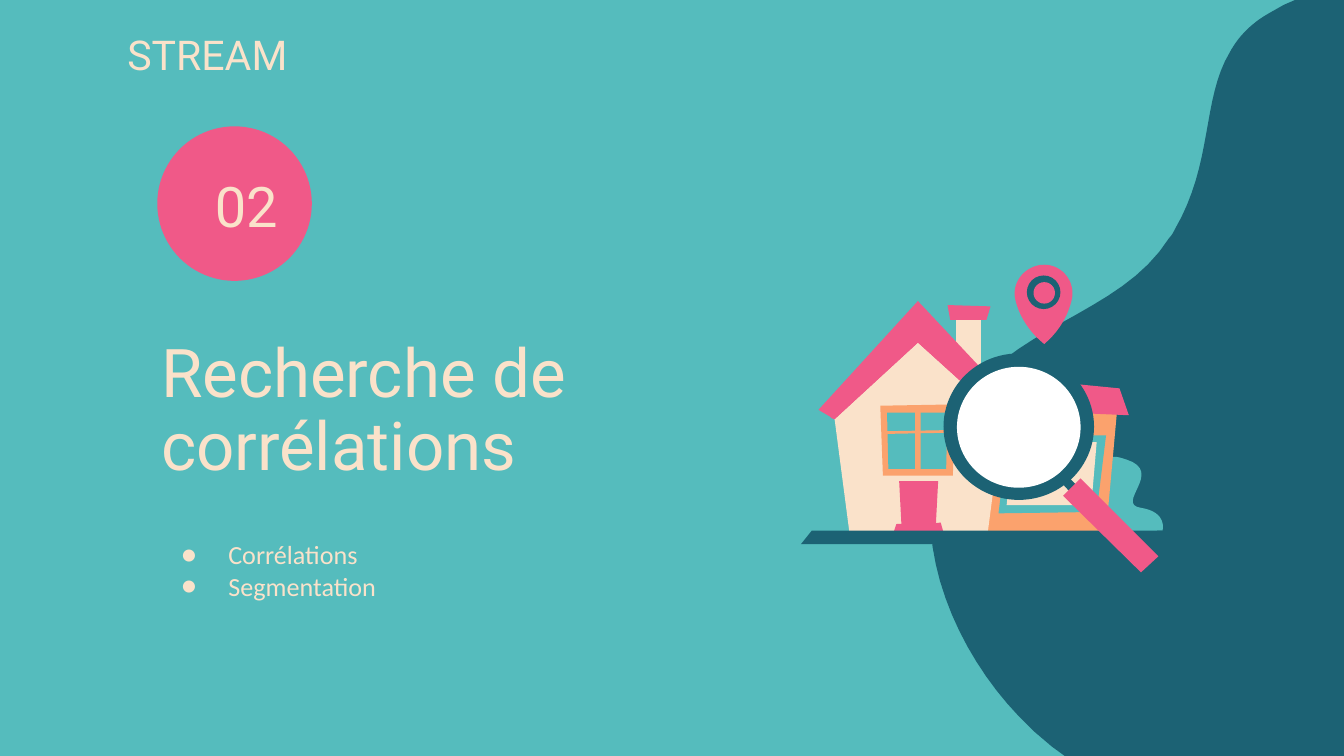
"""Build the section slide that opens part 02, on the search for correlations."""
from dataclasses import dataclass

from lxml import etree
from pptx import Presentation
from pptx.dml.color import RGBColor
from pptx.enum.shapes import MSO_SHAPE
from pptx.enum.text import MSO_ANCHOR
from pptx.oxml.ns import qn
from pptx.util import Cm, Pt

ELLIPSE = MSO_SHAPE.OVAL
TOP = MSO_ANCHOR.TOP
MIDDLE = MSO_ANCHOR.MIDDLE
CM_PER_UNIT = 2.54
CURVE_STEPS = 16


@dataclass(frozen=True)
class Theme:
    teal: str = "55BCBD"
    navy: str = "1C6274"
    pink: str = "F05988"
    cream: str = "FAE2CA"
    orange: str = "FBA26D"
    white: str = "FFFFFF"
    heading_font: str = "Roboto"
    body_font: str = "Calibri"
    title_size: int = 36
    number_size: int = 30
    name_size: int = 22
    body_size: int = 14


THEME = Theme()

TEXTS = [
    (["Recherche de corrélations"], (1.1, 2.42, 3.36, 1.3), MIDDLE,
     THEME.heading_font, THEME.title_size, 0.9, False),
    (["02"], (1.5, 1.11, 1.73, 0.83), MIDDLE,
     THEME.heading_font, THEME.number_size, 1.0, False),
    (["Corrélations", "Segmentation"], (1.1, 3.91, 3.02, 0.84), TOP,
     THEME.body_font, THEME.body_size, 1.0, True),
    (["STREAM"], (0.85, 0.12, 1.45, 0.68), TOP,
     THEME.heading_font, THEME.name_size, 1.0, False),
]

# Outline steps hold either one point or the three points of a curve.
WAVE = [
    (11.64, 4.78), (12.12, 3.95, 11.71, 3.12, 11.77, 2.3),
    (11.83, 1.47, 11.81, 0.87, 11.23, 0.43), (10.66, -0.01, 10.04, -0.28, 9.44, 0.1),
    (9.3, 0.18, 9.21, 0.28, 9.15, 0.39), (8.94, 0.74, 9.03, 1.21, 8.74, 1.71),
    (8.73, 1.73, 8.72, 1.75, 8.7, 1.77), (8.33, 2.36, 7.5, 2.41, 7.11, 3.08),
    (7.05, 3.18, 7.01, 3.3, 6.97, 3.43), (6.79, 4.1, 7.12, 4.85, 7.58, 5.33),
    (8.2, 5.99, 9.12, 6.18, 9.96, 5.98), (10.63, 5.83, 11.24, 5.43, 11.61, 4.83),
]
BUSH = [
    (8.29, 3.4), (8.11, 3.4, 8.13, 3.65, 8.13, 3.65), (7.81, 3.96), (8.65, 3.95),
    (8.65, 3.95, 8.69, 3.81, 8.49, 3.78), (8.29, 3.75, 8.67, 3.51, 8.38, 3.42),
    (8.35, 3.41, 8.32, 3.4, 8.29, 3.4),
]
PIN = [
    (7.77, 1.97), (7.65, 1.97, 7.55, 2.07, 7.55, 2.18), (7.55, 2.2),
    (7.55, 2.2, 7.57, 2.4, 7.77, 2.56), (7.96, 2.4, 7.98, 2.2, 7.98, 2.2),
    (7.98, 2.18), (7.98, 2.07, 7.89, 1.97, 7.77, 1.97),
]
CHIMNEY = [(7.11, 2.36), (7.11, 2.75), (7.3, 2.75), (7.3, 2.36)]
CHIMNEY_CAP = [(7.05, 2.27), (7.07, 2.38), (7.34, 2.38), (7.37, 2.28)]
ANNEX = [(6.98, 3.03), (7, 3.96), (8.23, 3.96), (8.31, 3.08)]
ANNEX_ROOF = [(6.8, 2.74), (6.8, 3.02), (8.4, 3.09), (8.33, 2.89)]
ROOF = [(6.83, 2.24), (6.09, 3.05), (6.21, 3.12), (7.45, 3.12), (7.59, 3.05)]
GABLE = [(6.83, 2.55), (6.21, 3.12), (6.83, 3.69), (7.46, 3.12)]
WALL = [(6.21, 3.12), (6.32, 3.96), (7.35, 3.96), (7.46, 3.12)]
ANNEX_FRAME = [(8.23, 3.24), (7.5, 3.24), (7.43, 3.82), (8.16, 3.81)]
ANNEX_PANE = [(7.54, 3.29), (7.49, 3.76), (8.12, 3.76), (8.16, 3.29)]
DOOR = [(6.69, 3.58), (6.71, 3.96), (6.96, 3.96), (6.98, 3.58)]
WINDOW_FRAME = [(7.11, 3.01), (6.55, 3.02), (6.57, 3.54), (7.09, 3.54)]
WINDOW_PANE = [(6.6, 3.07), (6.61, 3.49), (7.04, 3.49), (7.05, 3.07)]
DOORSTEP = [(7, 3.89), (6.67, 3.9), (6.65, 3.96), (7.02, 3.96)]
WINDOW_POST = [(6.85, 3.03), (6.81, 3.04), (6.81, 3.53), (6.85, 3.53)]
WINDOW_BAR = [(7.11, 3.2), (6.57, 3.21), (6.57, 3.23), (7.11, 3.22)]
ROOF_EDGE = [(6.84, 2.49), (6.18, 3.11), (6.21, 3.12), (6.83, 2.55), (7.46, 3.12), (7.5, 3.1)]
GROUND = [(6.04, 3.95), (5.96, 4.05), (8.72, 4.05), (8.66, 3.95)]
LENS_NECK = [(7.9, 3.5), (7.85, 3.54), (7.96, 3.66), (8.01, 3.61)]
LENS_HANDLE = [(8.04, 3.56), (7.91, 3.69), (8.49, 4.26), (8.62, 4.14)]

PIN_RING = (7.64, 2.05, 0.25, 0.25)
PIN_CENTRE = (7.69, 2.1, 0.16, 0.16)
LENS_RIM = (7.02, 2.63, 1.12, 1.09)
LENS_GLASS = (7.12, 2.73, 0.92, 0.9)
NUMBER_DISC = (1.17, 0.94, 1.15, 1.15)

HOUSE = [
    (BUSH, THEME.teal), (PIN, THEME.pink), (PIN_RING, THEME.navy),
    (PIN_CENTRE, THEME.pink), (CHIMNEY, THEME.cream), (CHIMNEY_CAP, THEME.pink),
    (ANNEX, THEME.orange), (ANNEX_ROOF, THEME.pink), (ROOF, THEME.pink),
    (GABLE, THEME.cream), (WALL, THEME.cream), (ANNEX_FRAME, THEME.teal),
    (ANNEX_PANE, THEME.cream), (DOOR, THEME.pink), (WINDOW_FRAME, THEME.orange),
    (WINDOW_PANE, THEME.teal), (DOORSTEP, THEME.pink), (WINDOW_POST, THEME.orange),
    (WINDOW_BAR, THEME.orange), (ROOF_EDGE, THEME.pink), (GROUND, THEME.navy),
    (LENS_RIM, THEME.navy), (LENS_NECK, THEME.navy), (LENS_GLASS, THEME.white),
    (LENS_HANDLE, THEME.pink),
]


def lengths(values):
    return [Cm(value * CM_PER_UNIT) for value in values]


def paint(shape, color):
    shape.shadow.inherit = False
    shape.fill.solid()
    shape.fill.fore_color.rgb = RGBColor.from_string(color)
    shape.line.fill.background()


def add_ellipse(shapes, place, color):
    paint(shapes.add_shape(ELLIPSE, *lengths(place)), color)


def curve_points(start, step):
    controls = [start, step[:2], step[2:4], step[4:]]
    for index in range(1, CURVE_STEPS + 1):
        t = index / CURVE_STEPS
        weights = ((1 - t) ** 3, 3 * t * (1 - t) ** 2, 3 * t * t * (1 - t), t ** 3)
        yield tuple(sum(weight * control[axis] for weight, control in zip(weights, controls))
                    for axis in (0, 1))


def add_outline(shapes, steps, color):
    points = [steps[0]]
    for step in steps[1:]:
        points.extend([step] if len(step) == 2 else curve_points(points[-1], step))
    start, *vertices = [lengths(point) for point in points]
    builder = shapes.build_freeform(*start)
    builder.add_line_segments(vertices, close=True)
    paint(builder.convert_to_shape(), color)


def add_bullet(para, font):
    properties = para._p.get_or_add_pPr()
    indent, hanging = lengths((0.5, -0.35))
    properties.set("marL", str(indent))
    properties.set("indent", str(hanging))
    bullet_color = etree.SubElement(properties, qn("a:buClr"))
    etree.SubElement(bullet_color, qn("a:srgbClr"), val=THEME.cream)
    etree.SubElement(properties, qn("a:buFont"), typeface=font)
    etree.SubElement(properties, qn("a:buChar"), char="●")


def add_text(page, lines, place, anchor, font, size, spacing, bulleted):
    frame = page.shapes.add_textbox(*lengths(place)).text_frame
    frame.word_wrap = True
    frame.vertical_anchor = anchor
    inset = Cm(0.25)
    frame.margin_left = frame.margin_right = inset
    frame.margin_top = frame.margin_bottom = inset
    frame.text = "\n".join(lines)
    for para in frame.paragraphs:
        if bulleted:
            add_bullet(para, font)
        para.line_spacing = spacing
        para.font.name = font
        para.font.size = Pt(size)
        para.font.color.rgb = RGBColor.from_string(THEME.cream)


def main():
    deck = Presentation()
    deck.slide_width, deck.slide_height = Cm(25.4), Cm(14.29)
    page = deck.slides.add_slide(deck.slide_layouts[6])
    page.background.fill.solid()
    page.background.fill.fore_color.rgb = RGBColor.from_string(THEME.teal)
    add_outline(page.shapes, WAVE, THEME.navy)
    add_ellipse(page.shapes, NUMBER_DISC, THEME.pink)
    house = page.shapes.add_group_shape()
    for part, color in HOUSE:
        draw = add_outline if isinstance(part, list) else add_ellipse
        draw(house.shapes, part, color)
    for text in TEXTS:
        add_text(page, *text)
    deck.save("out.pptx")


if __name__ == "__main__":
    main()
